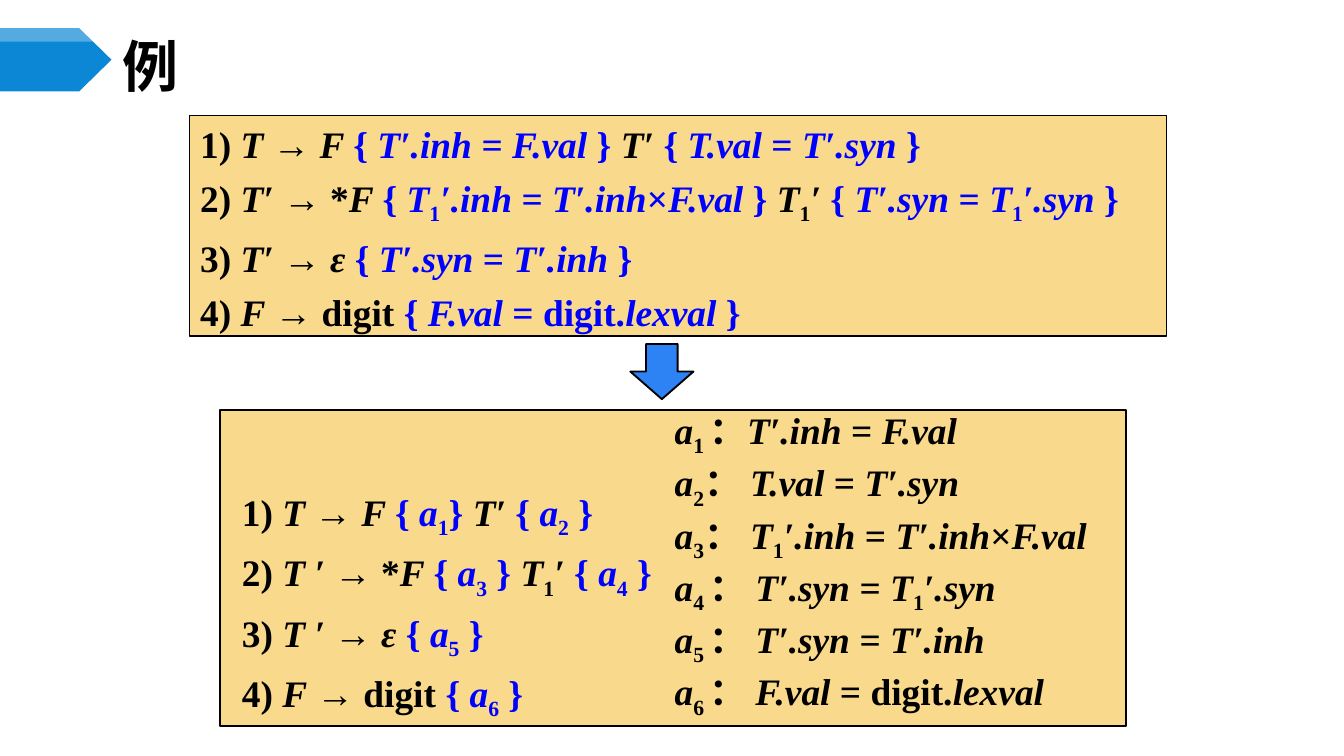
from dataclasses import dataclass

from lxml.etree import SubElement
from pptx import Presentation
from pptx.dml.color import RGBColor
from pptx.enum.shapes import MSO_SHAPE
from pptx.enum.text import MSO_ANCHOR, MSO_AUTO_SIZE, PP_ALIGN
from pptx.oxml.ns import qn
from pptx.util import Inches, Pt


@dataclass(frozen=True)
class Theme:
    black: str = "000000"
    action: str = "0000FF"
    panel: str = "F9D98C"
    arrow: str = "2D83F4"
    banner: str = "0B87D6"
    white: str = "FFFFFF"
    body_font: str = "Times New Roman"
    title_font: str = "Noto Sans CJK SC"
    body_size: int = 20
    title_size: int = 30


THEME = Theme()

RULES = [
    "1) _T _→ _F _{ _T′.inh _= _F.val_ } _T′ _{ _T.val _= _T′.syn_ }",
    "2) _T′ _→ *_F _{ _T_[1]_′.inh _= _T′.inh_×_F.val_ } _T_[1]_′ _"
    "{ _T′.syn _= _T_[1]_′.syn_ }",
    "3) _T′ _→ _ε _{ _T′.syn _= _T′.inh_ }",
    "4) _F_ → digit { _F.val_ = digit._lexval_ }",
]
SHORT_RULES = [
    "1) _T _→ _F _{ _a_[1]} _T′ _{ _a_[2] }",
    "2) _T ′ _→ *_F _{ _a_[3] } _T_[1]_′ _{ _a_[4] }",
    "3) _T ′ _→ _ε _{ _a_[5] }",
    "4) _F_ → digit { _a_[6] }",
]
ACTIONS = [
    "_a_[1 ]：_T′.inh _= _F.val_",
    "_a_[2]： _T.val _= _T′.syn_",
    "_a_[3]： _T_[1]_′.inh _= _T′.inh_×_F.val_",
    "_a_[4 ]： _T′.syn _= _T_[1]_′.syn_",
    "_a_[5 ]： _T′.syn _= _T′.inh_",
    "_a_[6 ]： _F.val_ = digit._lexval_",
]


def color(value):
    return RGBColor.from_string(value)


def format_run(r, font, size, value=THEME.black):
    r.font.name = font
    r.font.size = Pt(size)
    r.font.bold = True
    r.font.color.rgb = color(value)


def set_east_asian(r):
    SubElement(r.font._element, qn("a:ea"), typeface=THEME.title_font)


def split_grammar(line):
    pieces = []
    italic = sub = action = False
    for ch in line:
        if ch == "_":
            italic = not italic
        elif ch in "[]":
            sub = ch == "["
        else:
            action = action or ch == "{"
            style = (italic, sub, action)
            if pieces and pieces[-1][1:] == style:
                pieces[-1] = (pieces[-1][0] + ch, *style)
            else:
                pieces.append((ch, *style))
            action = action and ch != "}"
    return pieces


def set_insets(tf):
    tf.margin_left = tf.margin_right = Inches(0.08)
    tf.margin_top = tf.margin_bottom = Inches(0.04)


def add_grammar(tf, lines, spacing=None, hanging=False):
    tf.word_wrap = True
    tf.vertical_anchor = MSO_ANCHOR.TOP
    set_insets(tf)
    for i, line in enumerate(lines):
        p = tf.paragraphs[0] if i == 0 else tf.add_paragraph()
        p.alignment = PP_ALIGN.LEFT
        if i:
            p.space_before = Pt(5)
        if spacing:
            p.line_spacing = Pt(spacing)
        if hanging:
            props = p._p.get_or_add_pPr()
            props.set("marL", str(Inches(0.28)))
            props.set("indent", str(-Inches(0.28)))
        for text, italic, sub, action in split_grammar(line):
            r = p.add_run()
            r.text = text
            format_run(r, THEME.body_font, THEME.body_size,
                       THEME.action if action else THEME.black)
            r.font.italic = italic
            if sub:
                r.font._element.set("baseline", "-25000")
            if "：" in text:
                set_east_asian(r)


def add_box(s, kind, at, fill):
    sp = s.shapes.add_shape(kind, *map(Inches, at))
    sp.shadow.inherit = False
    sp.fill.solid()
    sp.fill.fore_color.rgb = color(fill)
    sp.line.color.rgb = color(THEME.black)
    sp.line.width = Pt(1)
    return sp


def add_text(s, at, lines, spacing=None):
    sp = s.shapes.add_textbox(*map(Inches, at))
    add_grammar(sp.text_frame, lines, spacing, hanging=True)


def add_pennant(s, shoulder, height, fill, opacity=None):
    top, tip = 0.21, 0.83
    points = [(shoulder, top), (tip, top + height / 2),
              (shoulder, top + height), (0, top + height)]
    builder = s.shapes.build_freeform(0, Inches(top))
    builder.add_line_segments([(Inches(x), Inches(y)) for x, y in points])
    sp = builder.convert_to_shape()
    sp.shadow.inherit = False
    sp.fill.solid()
    sp.fill.fore_color.rgb = color(fill)
    sp.line.fill.background()
    if opacity:
        clr = sp._element.spPr.find(qn("a:solidFill"))[0]
        SubElement(clr, qn("a:alpha"), val=str(opacity * 1000))


def set_title(s, text):
    sp = s.shapes.title
    sp.left, sp.top, sp.width, sp.height = map(Inches, (0.83, 0.29, 8.67, 0.39))
    tf = sp.text_frame
    tf.text = text
    tf.auto_size = MSO_AUTO_SIZE.NONE
    tf.vertical_anchor = MSO_ANCHOR.MIDDLE
    set_insets(tf)
    p = tf.paragraphs[0]
    p.alignment = PP_ALIGN.LEFT
    r = p.runs[0]
    format_run(r, THEME.title_font, THEME.title_size)
    set_east_asian(r)


def main():
    prs = Presentation()
    prs.slide_width = Inches(10)
    prs.slide_height = prs.slide_width * 9 // 16
    s = prs.slides.add_slide(prs.slide_layouts[5])
    set_title(s, "例")
    add_pennant(s, 0.59, 0.47, THEME.banner)
    add_pennant(s, 0.78, 0.1, THEME.white, opacity=30)
    add_box(s, MSO_SHAPE.RECTANGLE, (1.64, 3.05, 6.74, 2.35), THEME.panel)
    rules = add_box(s, MSO_SHAPE.RECTANGLE, (1.41, 0.86, 7.27, 1.64), THEME.panel)
    add_grammar(rules.text_frame, RULES)
    add_text(s, (4.94, 3.05, 3.96, 1.82), ACTIONS, spacing=23)
    add_text(s, (1.72, 3.6, 3.24, 1.25), SHORT_RULES)
    add_box(s, MSO_SHAPE.DOWN_ARROW, (4.69, 2.56, 0.47, 0.41), THEME.arrow)
    prs.save("out.pptx")


if __name__ == "__main__":
    main()
